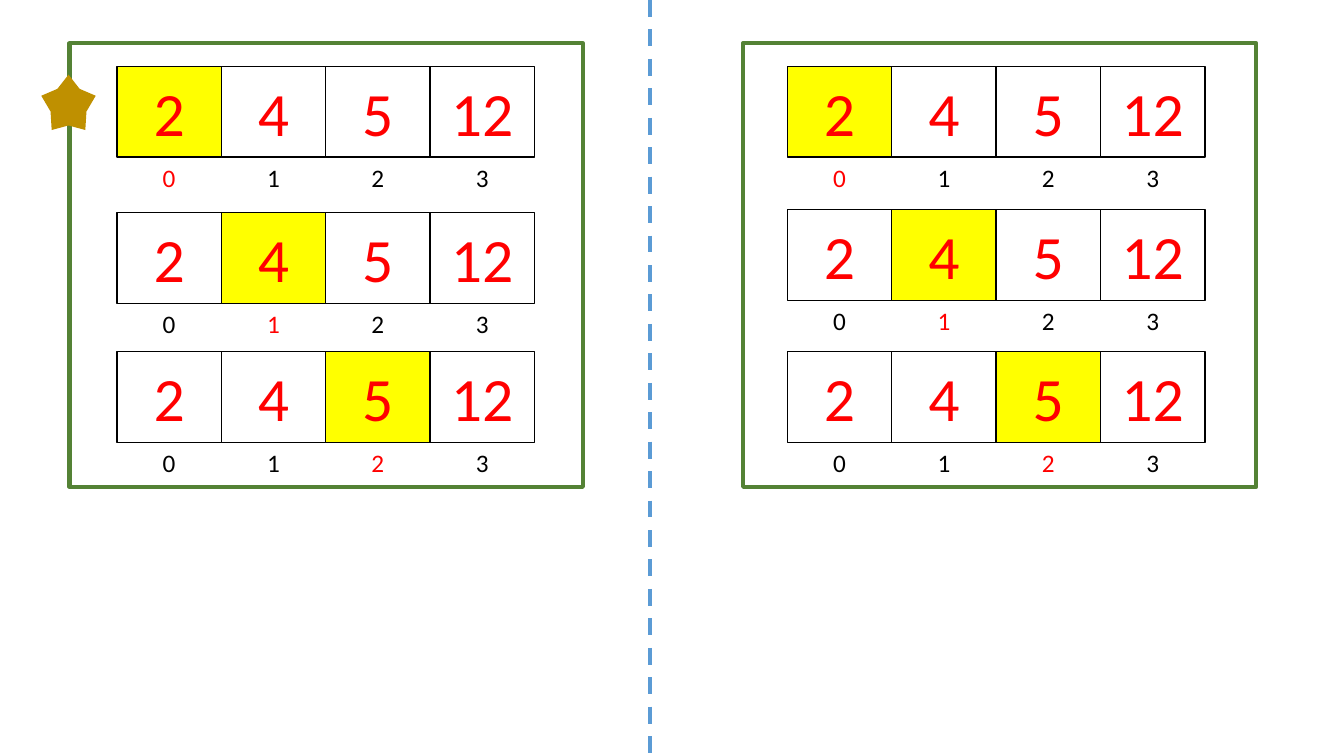
from pptx import Presentation
from pptx.dml.color import RGBColor
from pptx.enum.dml import MSO_LINE
from pptx.enum.shapes import MSO_CONNECTOR, MSO_SHAPE
from pptx.enum.text import MSO_ANCHOR, PP_ALIGN
from pptx.oxml.ns import qn
from pptx.util import Inches, Pt
from lxml import etree

VALUES = ["2", "4", "5", "12"]
PANELS = [
    {"frame_x": 0.69, "array_x": 1.16, "row_tops": [0.66, 2.11, 3.49]},
    {"frame_x": 7.37, "array_x": 7.81, "row_tops": [0.66, 2.08, 3.49]},
]
FRAME_Y, FRAME_W, FRAME_H = 0.43, 5.09, 4.4
CELL_W, CELL_H, INDEX_H = 4.14 / len(VALUES), 0.9, 0.36
DIVIDER_X = 6.45
WHITE, YELLOW, RED, BLACK = "FFFFFF", "FFFF00", "FF0000", "000000"
GREEN, BLUE, GOLD = "548235", "5B9BD5", "BF9000"


def rgb(color):
    return RGBColor.from_string(color)


def add_box(s, x, y, w, h, fill, line=None, line_pt=1, kind=MSO_SHAPE.RECTANGLE):
    sp = s.shapes.add_shape(kind, Inches(x), Inches(y), Inches(w), Inches(h))
    sp.shadow.inherit = False
    sp.fill.solid()
    sp.fill.fore_color.rgb = rgb(fill)
    if line:
        sp.line.color.rgb = rgb(line)
        sp.line.width = Pt(line_pt)
    else:
        sp.line.fill.background()
    return sp


def write(sp, text, size, color, anchor):
    tf = sp.text_frame
    tf.vertical_anchor = anchor
    p = tf.paragraphs[0]
    p.text = text
    p.alignment = PP_ALIGN.CENTER
    p.font.name = "Calibri"
    p.font.size = Pt(size)
    p.font.color.rgb = rgb(color)


def add_array(s, left, top, current):
    for i, value in enumerate(VALUES):
        x = left + i * CELL_W
        index = add_box(s, x, top + CELL_H, CELL_W, INDEX_H, WHITE)
        write(index, str(i), 18, RED if i == current else BLACK, MSO_ANCHOR.TOP)
    for i, value in enumerate(VALUES):
        x = left + i * CELL_W
        cell = add_box(s, x, top, CELL_W, CELL_H, YELLOW if i == current else WHITE, BLACK)
        write(cell, value, 44, RED, MSO_ANCHOR.MIDDLE)


def add_divider(s, height):
    x = Inches(DIVIDER_X)
    line = s.shapes.add_connector(MSO_CONNECTOR.STRAIGHT, x, 0, x, height)
    line.line.color.rgb = rgb(BLUE)
    line.line.width = Pt(3)
    line.line.dash_style = MSO_LINE.DASH
    etree.SubElement(line._element.spPr, qn("a:effectLst"))


def main():
    prs = Presentation()
    prs.slide_width, prs.slide_height = Inches(13.33), Inches(7.5)
    s = prs.slides.add_slide(prs.slide_layouts[6])
    add_divider(s, prs.slide_height)
    for panel in PANELS:
        add_box(s, panel["frame_x"], FRAME_Y, FRAME_W, FRAME_H, WHITE, GREEN, 3)
        for current, top in enumerate(panel["row_tops"]):
            add_array(s, panel["array_x"], top, current)
    star = add_box(s, 0.41, 0.74, 0.54, 0.55, GOLD, kind=MSO_SHAPE.STAR_5_POINT)
    star.adjustments[0] = 0.33
    prs.save("out.pptx")


if __name__ == "__main__":
    main()
